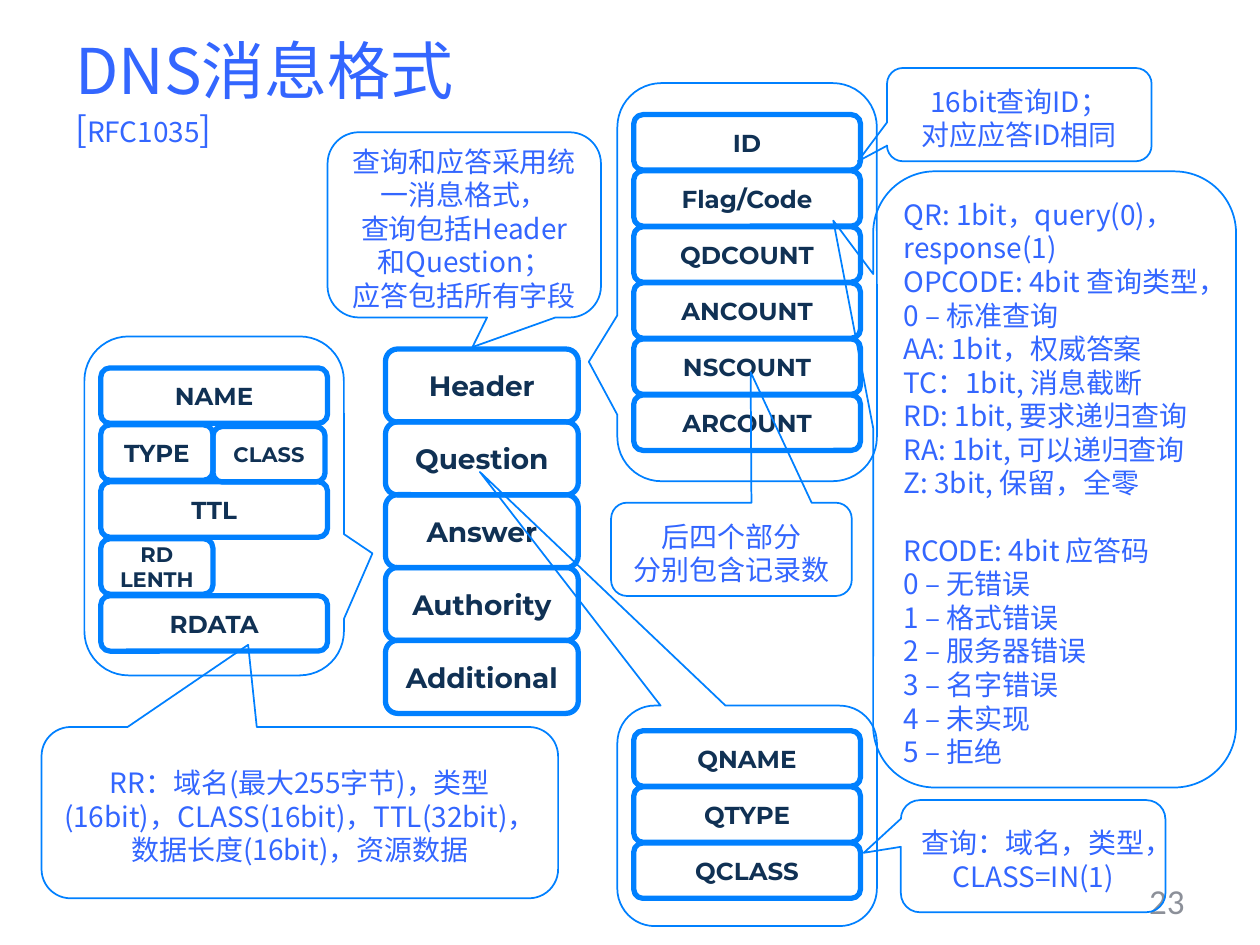
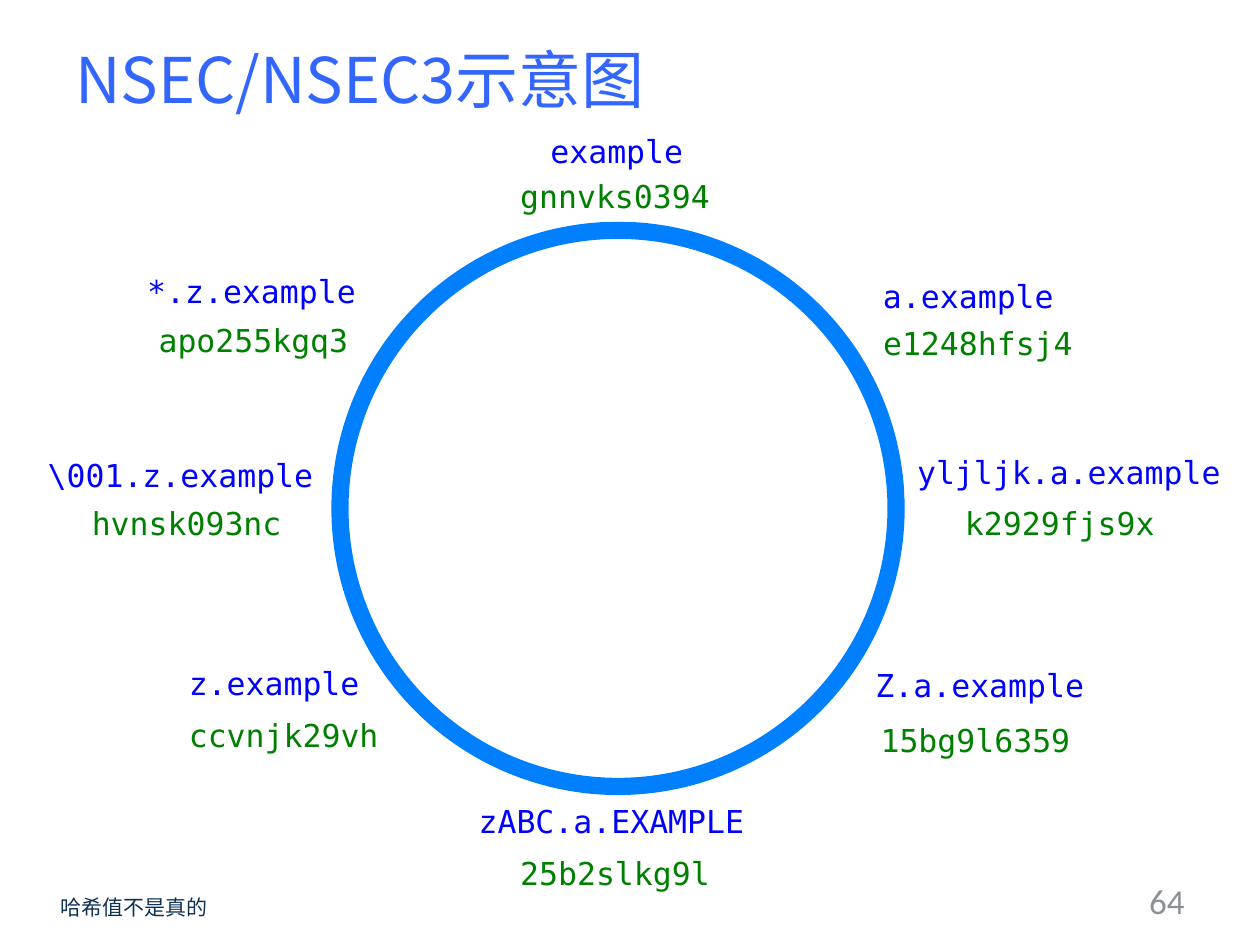
from dataclasses import dataclass
from typing import NamedTuple

from pptx import Presentation
from pptx.dml.color import RGBColor as Color
from pptx.enum.shapes import MSO_SHAPE as Preset
from pptx.enum.text import MSO_ANCHOR as Anchor, PP_ALIGN as Align
from pptx.oxml.ns import qn
from pptx.oxml.xmlchemy import OxmlElement as new_element
from pptx.util import Inches, Pt

# The page is a grid of square cells
COLUMNS, ROWS = 100, 75
WIDTH, HEIGHT = Inches(10), Inches(7.5)


# Theme
class TextStyle(NamedTuple):
    face: str
    size: float
    color: str
    bold: bool = False
    leading: float = 0


@dataclass(frozen=True)
class Theme:
    frame: str = "0080FF"
    paper: str = "FFFFFF"
    thick: float = 3
    thin: float = 1
    title: TextStyle = TextStyle("Noto Sans CJK SC", 36, "3366FF", leading=1.2)
    bracket: TextStyle = title._replace(size=20)
    body: TextStyle = title._replace(size=16)
    footnote: TextStyle = title._replace(size=12, color="103154")
    section: TextStyle = TextStyle("Montserrat", 16, "103154", True)
    field: TextStyle = section._replace(size=14)
    small_field: TextStyle = section._replace(size=12)
    page_number: TextStyle = TextStyle("Calibri", 20, "8C9099")
    domain: TextStyle = TextStyle("DejaVu Sans Mono", 18, "0000FF")
    digest: TextStyle = domain._replace(color="008000")


THEME = Theme()


# Descriptions of the repeated elements, in columns and rows
class Area(NamedTuple):
    left: float
    top: float
    width: float
    height: float


@dataclass(frozen=True)
class Stack:
    """Field boxes one under another."""
    first: Area
    pitch: float
    names: tuple[str, ...]
    style: TextStyle


@dataclass(frozen=True)
class Callout:
    area: Area
    tip: tuple[float, float]
    lines: tuple[str, ...] = ()
    align: Align = Align.CENTER
    gap_before: str = ""


class NodeLabel(NamedTuple):
    domain: str
    domain_at: tuple[float, float]
    digest: str
    digest_at: tuple[float, float]


SECTIONS = Stack(Area(30.6, 27.7, 15.3, 5.8), 5.78,
                 ("Header", "Question", "Answer", "Authority", "Additional"), THEME.section)
HEADER_FIELDS = Stack(Area(50.3, 9.1, 18, 4.4), 4.45,
                      ("ID", "Flag/Code", "QDCOUNT", "ANCOUNT", "NSCOUNT", "ARCOUNT"),
                      THEME.field)
QUERY_FIELDS = Stack(Area(50.3, 58, 18, 4.4), 4.45, ("QNAME", "QTYPE", "QCLASS"), THEME.field)

RECORD_LEFT, RECORD_TOP, RECORD_PITCH = 8, 29.2, 4.52
FULL, HALF = 18, 8.9
# name, row, column of halves, width, style
RECORD_FIELDS = (
    ("NAME", 0, 0, FULL, THEME.field),
    ("TYPE", 1, 0, HALF, THEME.field),
    ("CLASS", 1.03, 1, HALF, THEME.small_field),
    ("TTL", 2, 0, FULL, THEME.field),
    ("RD\nLENTH", 3, 0, HALF, THEME.small_field),
    ("RDATA", 4, 0, FULL, THEME.field),
)

CALLOUTS = (
    # Outlines around the field groups
    Callout(Area(49, 6.6, 20.6, 31.6), (-0.61, 0.2)),
    Callout(Area(49, 56, 20.6, 17.5), (-1.03, -1.56)),
    Callout(Area(6.7, 26.7, 20.6, 26.9), (0.61, 0.14)),
    # Explanations
    Callout(Area(26, 10.5, 21.7, 14.7), (0.03, 0.66),
            ("查询和应答采用统一消息格式，", "查询包括Header和Question；", "应答包括所有字段")),
    Callout(Area(70.4, 5.4, 21, 7.4), (-0.61, 0.5), ("16bit查询ID；", "对应应答ID相同")),
    Callout(Area(69.3, 13.6, 28.8, 48.9), (-0.61, -0.42), (
        "QR: 1bit，query(0)，", "response(1)",
        "OPCODE: 4bit 查询类型，0 – 标准查询", "AA: 1bit，权威答案",
        "TC：1bit, 消息截断", "RD: 1bit, 要求递归查询",
        "RA: 1bit, 可以递归查询", "Z: 3bit, 保留，全零",
        "RCODE: 4bit 应答码", "0 – 无错误", "1 – 格式错误", "2 – 服务器错误",
        "3 – 名字错误", "4 – 未实现", "5 – 拒绝"), Align.LEFT, "RCODE"),
    Callout(Area(48.5, 39.9, 19.1, 7.4), (0.08, -1.9), ("后四个部分", "分别包含记录数")),
    Callout(Area(71.5, 63.5, 21, 8.9), (-0.64, -0.03), ("查询：域名，类型，CLASS=IN(1)",)),
    Callout(Area(3.3, 57.7, 41, 13.6), (-0.1, -0.98),
            ("RR：域名(最大255字节)，类型(16bit)，CLASS(16bit)，TTL(32bit)，",
             "数据长度(16bit)，资源数据")),
)

NODES = (
    NodeLabel("zABC.a.EXAMPLE", (37, 63.2), "25b2slkg9l", (40.3, 67.3)),
    NodeLabel("*.z.example", (10.7, 21.1), "apo255kgq3", (11.6, 25)),
    NodeLabel("z.example", (14, 52.2), "ccvnjk29vh", (14, 56.3)),
    NodeLabel("a.example", (69.1, 21.5), "e1248hfsj4", (69.1, 25.2)),
    NodeLabel("example", (42.7, 10), "gnnvks0394", (40.3, 13.6)),
    NodeLabel("\\001.z.example", (2.8, 35.7), "hvnsk093nc", (6.3, 39.5)),
    NodeLabel("yljljk.a.example", (71.8, 35.5), "k2929fjs9x", (75.6, 39.5)),
    NodeLabel("Z.a.example", (68.5, 52.4), "15bg9l6359", (68.9, 56.7)),
)
LABEL_HEIGHT, LABEL_PADDING, CHARACTER_WIDTH = 4, 2.1, 1.5


# Drawing functions
def place(area: Area) -> tuple[int, ...]:
    column, row = WIDTH / COLUMNS, HEIGHT / ROWS
    return tuple(round(length * unit) for length, unit in zip(area, (column, row) * 2))


def add_span(para, text: str, style: TextStyle) -> None:
    span = para.add_run()
    span.text = text
    values = {"name": style.face, "size": Pt(style.size), "bold": style.bold}
    for name, value in values.items():
        setattr(span.font, name, value)
    span.font.color.rgb = Color.from_string(style.color)
    east_asian = new_element("a:ea")
    east_asian.set("typeface", style.face)
    span.font._element.find(qn("a:latin")).addnext(east_asian)


def write(box, paragraphs, align=Align.LEFT, anchor=Anchor.MIDDLE, wrap=True,
          gap_before: str = "") -> None:
    """Fill a box; each paragraph is a list of (text, style) spans."""
    frame = box.text_frame
    first_style = paragraphs[0][0][1]
    shift = 0.12 * first_style.size if first_style.leading else 0
    values = {"word_wrap": wrap, "vertical_anchor": anchor,
              "margin_top": Pt(3.6 + shift), "margin_bottom": Pt(max(3.6 - shift, 0))}
    for name, value in values.items():
        setattr(frame, name, value)
    for index, spans in enumerate(paragraphs):
        para = frame.add_paragraph() if index else frame.paragraphs[0]
        para.alignment = align
        style = spans[0][1]
        if style.leading:
            para.line_spacing = Pt(style.size * style.leading)
        if gap_before and spans[0][0].startswith(gap_before):
            para.space_before = Pt(style.size * style.leading)
        for text, span_style in spans:
            add_span(para, text, span_style)


def add_box(page, preset: Preset, area: Area, line: float = 0, fill: str = ""):
    box = page.shapes.add_shape(preset, *place(area))
    box.shadow.inherit = False
    if fill:
        box.fill.solid()
        box.fill.fore_color.rgb = Color.from_string(fill)
    else:
        box.fill.background()
    if line:
        box.line.width = Pt(line)
        box.line.color.rgb = Color.from_string(THEME.frame)
    else:
        box.line.fill.background()
    return box


def add_field(page, area: Area, name: str, style: TextStyle) -> None:
    box = add_box(page, Preset.ROUNDED_RECTANGLE, area, THEME.thick)
    write(box, [[(line, style)] for line in name.split("\n")], Align.CENTER)


def add_stack(page, stack: Stack) -> None:
    for index, name in enumerate(stack.names):
        area = stack.first._replace(top=stack.first.top + index * stack.pitch)
        add_field(page, area, name, stack.style)


def add_callout(page, callout: Callout) -> None:
    box = add_box(page, Preset.ROUNDED_RECTANGULAR_CALLOUT, callout.area, THEME.thin)
    for index, value in enumerate((*callout.tip, 0.17)):
        box.adjustments[index] = value
    if callout.lines:
        write(box, [[(line, THEME.body)] for line in callout.lines],
              callout.align, gap_before=callout.gap_before)


def add_label(page, text: str, at: tuple[float, float], style: TextStyle) -> None:
    area = Area(*at, LABEL_PADDING + CHARACTER_WIDTH * len(text), LABEL_HEIGHT)
    box = add_box(page, Preset.RECTANGLE, area, fill=THEME.paper)
    write(box, [[(text, style)]], anchor=Anchor.TOP, wrap=False)


def add_text(page, area: Area, paragraphs, **options) -> None:
    write(page.shapes.add_textbox(*place(area)), paragraphs, **options)


def add_page(deck, title, title_height: float, number: str):
    """A blank page with the shared title and page number."""
    page = deck.slides.add_slide(deck.slide_layouts[6])
    add_text(page, Area(5, 0.4, 90, title_height), title)
    add_text(page, Area(71.7, 69.5, 23.3, 4), [[(number, THEME.page_number)]],
             align=Align.RIGHT)
    return page


# Pages
def add_message_format(deck) -> None:
    title = [[("DNS消息格式", THEME.title)],
             [("[", THEME.bracket), ("RFC1035", THEME.body), ("]", THEME.bracket)]]
    page = add_page(deck, title, 12.5, "23")
    for stack in (SECTIONS, HEADER_FIELDS, QUERY_FIELDS):
        add_stack(page, stack)
    for name, row, column, width, style in RECORD_FIELDS:
        area = Area(RECORD_LEFT + column * HALF, RECORD_TOP + row * RECORD_PITCH, width, 4.4)
        add_field(page, area, name, style)
    for callout in CALLOUTS:
        add_callout(page, callout)


def add_hash_ring(deck) -> None:
    page = add_page(deck, [[("NSEC/NSEC3示意图", THEME.title)]], 10.6, "64")
    ring = add_box(page, Preset.DONUT, Area(26.3, 17.6, 45.5, 45.5), fill=THEME.frame)
    ring.adjustments[0] = 0.03
    for node in NODES:
        add_label(page, node.domain, node.domain_at, THEME.domain)
        add_label(page, node.digest, node.digest_at, THEME.digest)
    add_text(page, Area(3.8, 70.3, 13.8, 3), [[("哈希值不是真的", THEME.footnote)]],
             anchor=Anchor.TOP, wrap=False)


def main() -> None:
    deck = Presentation()
    deck.slide_width, deck.slide_height = WIDTH, HEIGHT
    add_message_format(deck)
    add_hash_ring(deck)
    deck.save("out.pptx")


if __name__ == "__main__":
    main()
